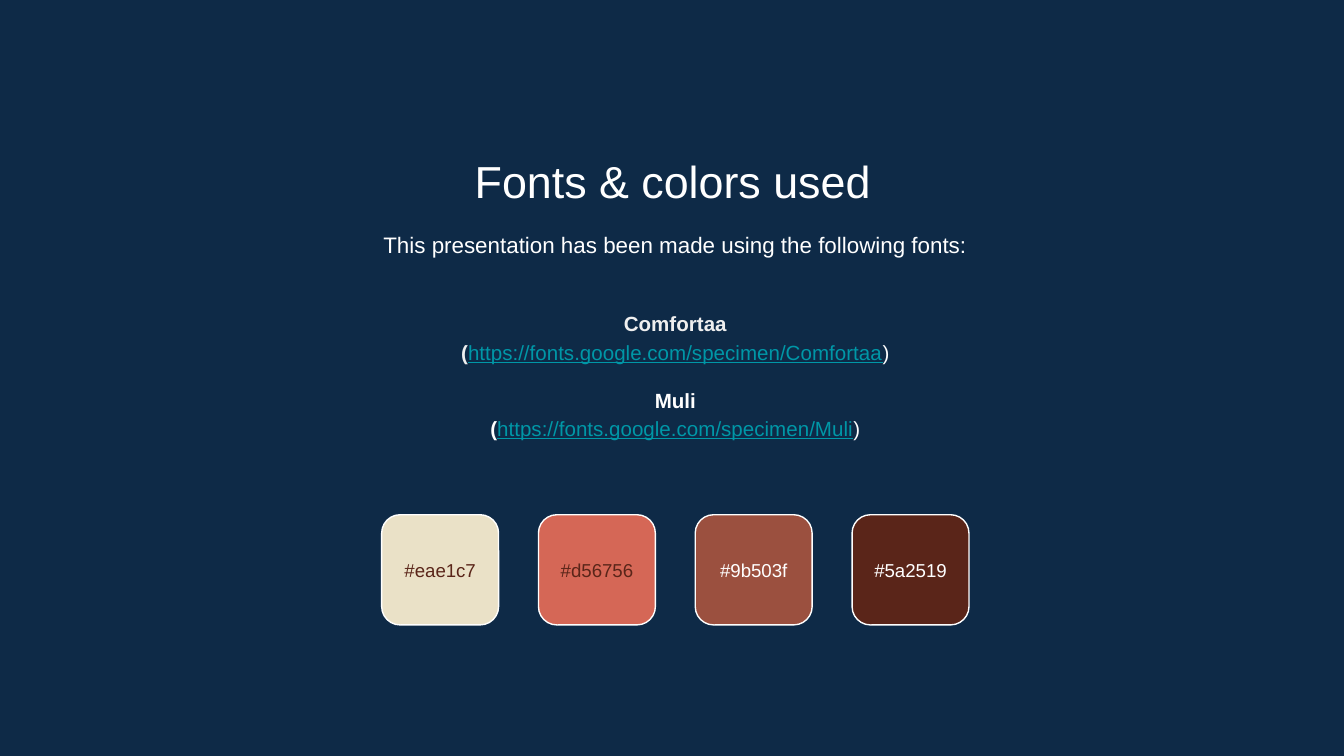
from dataclasses import dataclass

from lxml.etree import SubElement
from pptx import Presentation
from pptx.dml.color import RGBColor
from pptx.enum.shapes import MSO_SHAPE
from pptx.enum.text import MSO_ANCHOR, MSO_AUTO_SIZE, PP_ALIGN
from pptx.oxml.ns import qn
from pptx.util import Inches, Pt


@dataclass(frozen=True)
class Theme:
    font: str = "Arial"
    background: str = "0E2A47"
    white: str = "FFFFFF"
    pale: str = "EFEFEF"
    link: str = "0097A7"
    dark: str = "5A2519"
    title_size: float = 24
    intro_size: float = 12
    list_size: float = 11
    label_size: float = 10


class FontsSlide:
    def __init__(self, slide, theme):
        self.slide = slide
        self.theme = theme
        slide.background.fill.solid()
        slide.background.fill.fore_color.rgb = RGBColor.from_string(theme.background)

    def place(self, shape, left, top, width, height):
        shape.left, shape.top = Inches(left), Inches(top)
        shape.width, shape.height = Inches(width), Inches(height)

    def frame(self, shape, anchor):
        frame = shape.text_frame
        frame.word_wrap = True
        frame.auto_size = MSO_AUTO_SIZE.NONE
        frame.vertical_anchor = anchor
        frame.margin_left = frame.margin_right = Inches(0.1)
        frame.margin_top = frame.margin_bottom = Inches(0.1)
        return frame

    def style(self, paragraph, size, color, spacing=1.0, before=0.0):
        paragraph.alignment = PP_ALIGN.CENTER
        paragraph.line_spacing = spacing
        paragraph.space_before = Pt(before)
        paragraph.font.name = self.theme.font
        paragraph.font.size = Pt(size)
        paragraph.font.color.rgb = RGBColor.from_string(color)

    def plain_bullet(self, paragraph):
        properties = paragraph._p.get_or_add_pPr()
        properties.set("marL", "0")
        properties.set("indent", "0")
        SubElement(properties, qn("a:buNone"))

    def add_run(self, paragraph, text, color, bold=False, underline=False):
        run = paragraph.add_run()
        run.text = text
        run.font.bold = bold
        run.font.underline = underline
        run.font.color.rgb = RGBColor.from_string(color)

    def title(self, text, box):
        heading = self.slide.shapes.title
        self.place(heading, *box)
        paragraph = self.frame(heading, MSO_ANCHOR.TOP).paragraphs[0]
        paragraph.text = text
        self.style(paragraph, self.theme.title_size, self.theme.white)

    def intro(self, text, box):
        body = self.slide.placeholders[1]
        self.place(body, *box)
        paragraph = self.frame(body, MSO_ANCHOR.TOP).paragraphs[0]
        paragraph.text = text
        self.plain_bullet(paragraph)
        self.style(paragraph, self.theme.intro_size, self.theme.white, 1.15)

    def font_list(self, fonts, box):
        theme = self.theme
        body = self.slide.placeholders[2]
        self.place(body, *box)
        frame = self.frame(body, MSO_ANCHOR.MIDDLE)
        for index, (name, address) in enumerate(fonts):
            name_line = frame.add_paragraph() if index else frame.paragraphs[0]
            address_line = frame.add_paragraph()
            for line in (name_line, address_line):
                self.plain_bullet(line)
                gap = 10.6 if index and line is name_line else 0
                self.style(line, theme.list_size, theme.pale, 1.15, gap)
            self.add_run(name_line, name, theme.white if index else theme.pale, bold=True)
            self.add_run(address_line, "(", theme.white if index else theme.pale, bold=True)
            self.add_run(address_line, address, theme.link, underline=True)
            self.add_run(address_line, ")", theme.white)

    def swatch(self, code, label_color, box):
        tile = self.slide.shapes.add_shape(
            MSO_SHAPE.ROUNDED_RECTANGLE, *map(Inches, box))
        tile.shadow.inherit = False
        tile.fill.solid()
        tile.fill.fore_color.rgb = RGBColor.from_string(code[1:].upper())
        tile.line.color.rgb = RGBColor.from_string(self.theme.white)
        tile.line.width = Pt(0.75)

        left, top, width, _ = box
        label = self.slide.shapes.add_textbox(
            Inches(left), Inches(top + 0.17), Inches(width), Inches(0.48))
        paragraph = self.frame(label, MSO_ANCHOR.MIDDLE).paragraphs[0]
        paragraph.text = code
        self.style(paragraph, self.theme.label_size, label_color)


def main():
    theme = Theme()
    presentation = Presentation()
    # Widescreen, 16 to 9
    presentation.slide_width = Inches(10)
    presentation.slide_height = Inches(10) * 9 // 16
    two_content = presentation.slide_layouts[3]
    page = FontsSlide(presentation.slides.add_slide(two_content), theme)

    # Heading and introduction
    page.title("Fonts & colors used", (1.15, 1.04, 7.71, 0.53))
    page.intro("This presentation has been made using the following fonts:",
               (1.17, 1.59, 7.71, 0.48))

    # Fonts with their addresses
    page.font_list([
        ("Comfortaa", "https://fonts.google.com/specimen/Comfortaa"),
        ("Muli", "https://fonts.google.com/specimen/Muli"),
    ], (1.17, 2.1, 7.71, 1.37))

    # Row of colour swatches
    palette = [("#eae1c7", theme.dark), ("#d56756", theme.dark),
               ("#9b503f", theme.white), ("#5a2519", theme.white)]
    for column, (code, label_color) in enumerate(palette):
        page.swatch(code, label_color, (2.84 + column * 3.5 / 3, 3.83, 0.87, 0.82))

    presentation.save("out.pptx")


if __name__ == "__main__":
    main()
